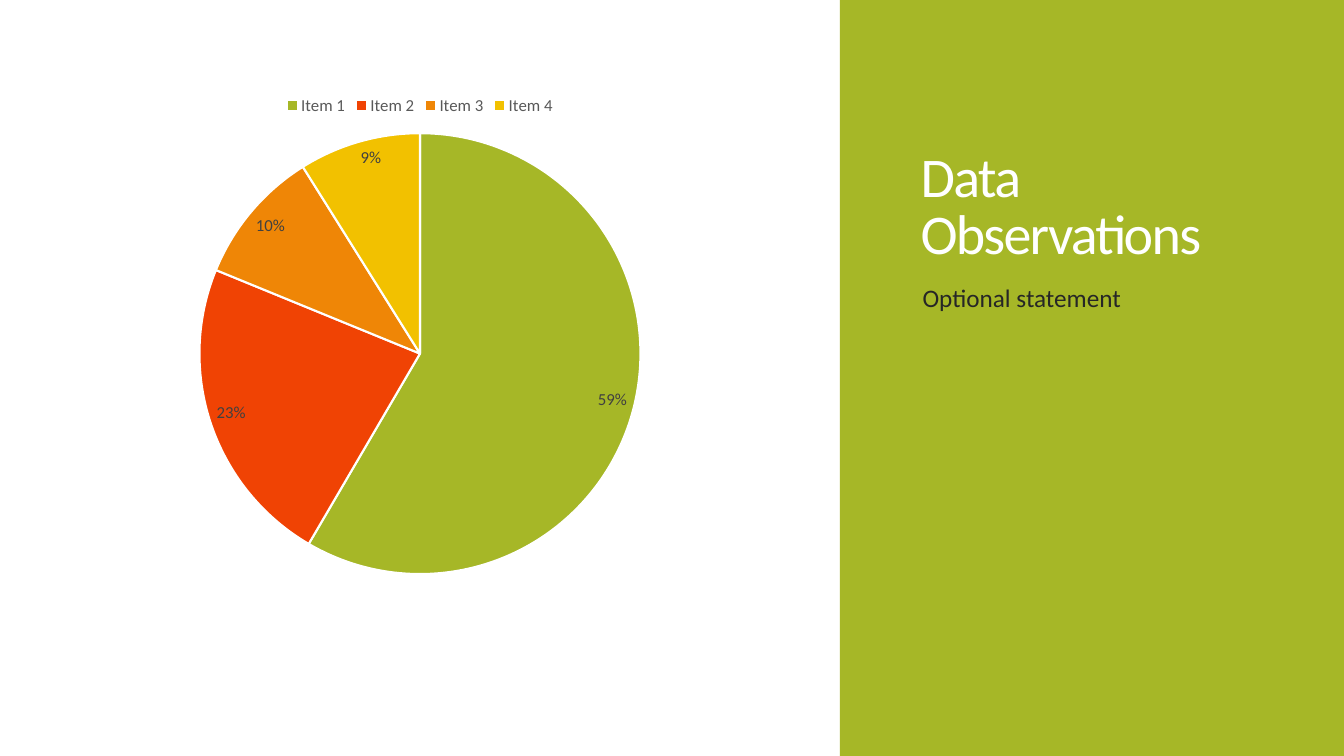
from pptx import Presentation
from pptx.chart.data import CategoryChartData
from pptx.dml.color import RGBColor
from pptx.enum.chart import XL_CHART_TYPE as ChartType, XL_LABEL_POSITION as LabelPosition
from pptx.enum.chart import XL_LEGEND_POSITION as LegendPosition
from pptx.enum.shapes import MSO_SHAPE as Shape
from pptx.enum.text import MSO_ANCHOR as Anchor, MSO_AUTO_SIZE as AutoSize, PP_ALIGN as Align
from pptx.util import Inches, Pt

WHITE = RGBColor(0xFF, 0xFF, 0xFF)
GREEN = RGBColor(0xA6, 0xB7, 0x27)
RED = RGBColor(0xF0, 0x43, 0x04)
ORANGE = RGBColor(0xEF, 0x86, 0x06)
YELLOW = RGBColor(0xF2, 0xC1, 0x00)
INK = RGBColor(0x26, 0x26, 0x26)
LABEL_GRAY = RGBColor(0x40, 0x40, 0x40)
LEGEND_GRAY = RGBColor(0x59, 0x59, 0x59)
FONT = "Calibri"

deck = Presentation()
deck.slide_width, deck.slide_height = Inches(13.33), Inches(7.5)
column, row = deck.slide_width / 16, deck.slide_height / 9
slide = deck.slides.add_slide(deck.slide_layouts[7])
heading, unused, statement = slide.placeholders
unused.element.getparent().remove(unused.element)


def write(holder, text, *, size, color, anchor, line=1.0, before=0, spacing=0):
    frame = holder.text_frame
    frame.word_wrap = True
    frame.auto_size = AutoSize.NONE
    frame.vertical_anchor = anchor
    paragraph = frame.paragraphs[0]
    paragraph.text = text
    paragraph.alignment = Align.LEFT
    paragraph.line_spacing = line
    paragraph.space_before = Pt(before)
    for run in paragraph.runs:
        run.font.name, run.font.size, run.font.bold = FONT, Pt(size), False
        run.font.color.rgb = color
        run.font._element.set("spc", str(round(spacing * 100)))


sidebar = slide.shapes.add_shape(
    Shape.RECTANGLE, round(10 * column), 0, round(6 * column), deck.slide_height)
sidebar.shadow.inherit = False
sidebar.fill.solid()
sidebar.fill.fore_color.rgb = GREEN
sidebar.line.fill.background()
slide.shapes._spTree.insert(2, sidebar._element)

heading.left, heading.top = Inches(9.03), Inches(0.59)
heading.width, heading.height = Inches(3.7), Inches(2.1)
write(heading, "Data\vObservations", size=40, color=WHITE, anchor=Anchor.BOTTOM,
      line=0.85, spacing=-1.2)

statement.left, statement.top = Inches(9.05), Inches(2.75)
statement.width, statement.height = Inches(3.72), Inches(3.42)
write(statement, "Optional statement", size=18, color=INK, anchor=Anchor.TOP, before=12)

shares = CategoryChartData(number_format='0"%"')
shares.categories = ["Item 1", "Item 2", "Item 3", "Item 4"]
shares.add_series("Series 1", (59, 23, 10, 9))
pie = slide.shapes.add_chart(
    ChartType.PIE, round(column), round(row), round(8 * column), round(6 * row), shares).chart
pie.has_title = False
pie.font.name, pie.font.size = FONT, Pt(10)

pie.has_legend = True
pie.legend.position = LegendPosition.TOP
pie.legend.include_in_layout = False

plot = pie.plots[0]
plot.vary_by_categories = True
plot.has_data_labels = True
labels = plot.data_labels
labels.show_value = True
labels.number_format, labels.number_format_is_linked = '0"%"', False
labels.position = LabelPosition.INSIDE_END

for font, color in ((pie.legend.font, LEGEND_GRAY), (labels.font, LABEL_GRAY)):
    font.name, font.size = FONT, Pt(12)
    font.color.rgb = color

for index, color in enumerate((GREEN, RED, ORANGE, YELLOW)):
    slice_format = plot.series[0].points[index].format
    slice_format.fill.solid()
    slice_format.fill.fore_color.rgb = color
    slice_format.line.color.rgb = WHITE
    slice_format.line.width = Pt(1.5)

deck.save("out.pptx")
